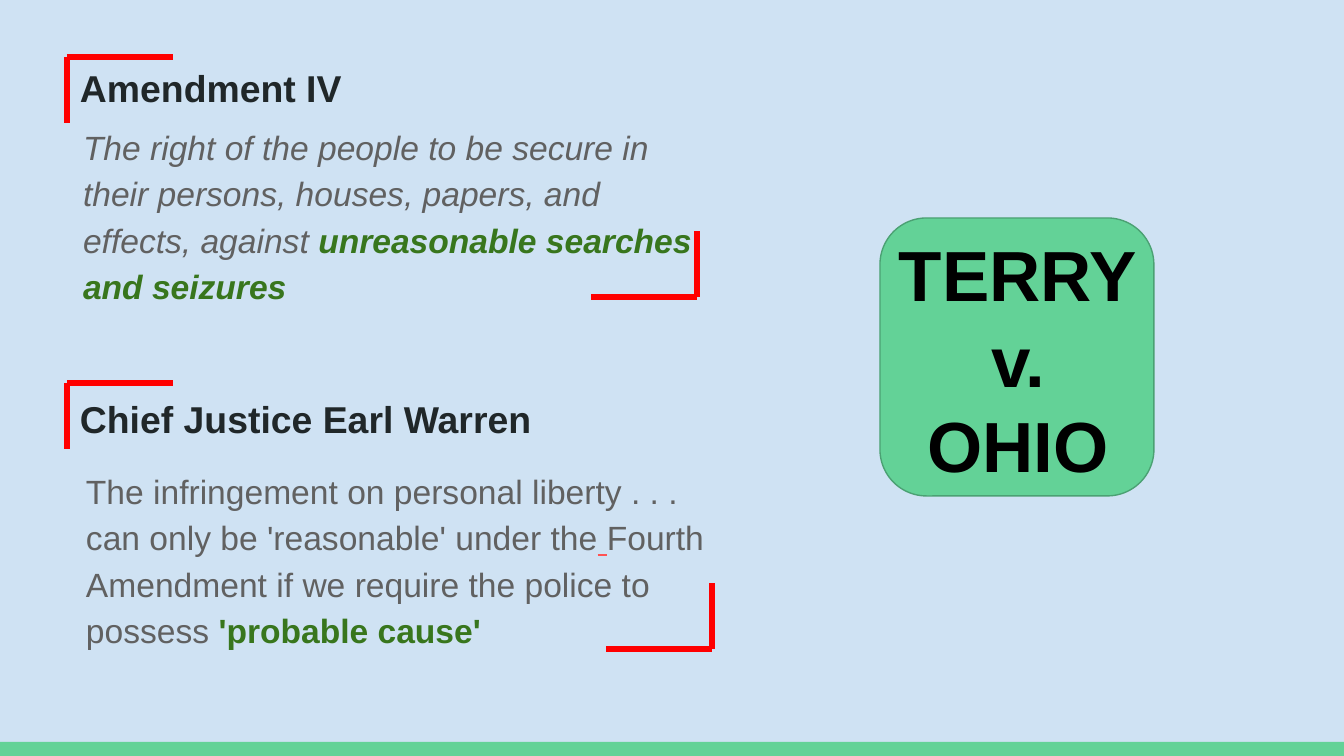
from lxml.etree import SubElement
from pptx import Presentation
from pptx.dml.color import RGBColor
from pptx.enum.shapes import MSO_CONNECTOR as Connector, MSO_SHAPE as Shape
from pptx.enum.text import MSO_ANCHOR as Anchor, PP_ALIGN as Align
from pptx.oxml.ns import qn
from pptx.util import Pt

SCALE = 914400 / 134.4  # EMU per px
WIDTH, HEIGHT = 1344, 756
INSET = 13
ARM_ACROSS, ARM_DOWN = 106, 66

SKY = RGBColor(0xCF, 0xE2, 0xF3)
MINT = RGBColor(0x63, 0xD2, 0x97)
MINT_EDGE = RGBColor(0x4B, 0xA1, 0x73)
RED = RGBColor(0xFF, 0x00, 0x00)
CORAL = RGBColor(0xFF, 0x52, 0x52)
INK = RGBColor(0x20, 0x27, 0x29)
GRAY = RGBColor(0x61, 0x61, 0x61)
GREEN = RGBColor(0x38, 0x76, 0x1D)
BLACK = RGBColor(0x00, 0x00, 0x00)


def px(length):
    return round(length * SCALE)


def add_span(para, text, size=18, color=GRAY, bold=False, italic=False, underline=False):
    span = para.add_run()
    span.text = text
    font = span.font
    font.name, font.size, font.color.rgb = "Arial", Pt(size), color
    font.bold, font.italic, font.underline = bold, italic, underline


def add_text(page, box, paragraphs, align=Align.LEFT, spacing=None, after=None):
    """Each paragraph is a list of (text, format) pairs."""
    frame = page.shapes.add_textbox(*map(px, box)).text_frame
    frame.word_wrap = True
    frame.vertical_anchor = Anchor.TOP
    frame.margin_left = frame.margin_right = px(INSET)
    frame.margin_top = frame.margin_bottom = px(INSET)
    for index, spans in enumerate(paragraphs):
        para = frame.paragraphs[0] if index == 0 else frame.add_paragraph()
        para.alignment = align
        para.line_spacing = spacing
        para.space_after = after
        for text, style in spans:
            add_span(para, text, **style)


def add_block(page, kind, box, fill, edge=None):
    block = page.shapes.add_shape(kind, *map(px, box))
    block.shadow.inherit = False
    block.fill.solid()
    block.fill.fore_color.rgb = fill
    if edge is None:
        block.line.fill.background()
    else:
        block.line.color.rgb = edge
        block.line.width = Pt(0.75)
    return block


def add_corner(page, x, y, direction):
    """Bracket at (x, y); direction 1 opens down and right, -1 up and left."""
    for across, down in ((0, ARM_DOWN), (ARM_ACROSS, 0)):
        end = x + direction * across, y + direction * down
        arm = page.shapes.add_connector(Connector.STRAIGHT, *map(px, (x, y, *end)))
        arm.line.color.rgb = RED
        arm.line.width = Pt(3)
        SubElement(arm._element.spPr, qn("a:effectLst"))


def add_quote(page, box, heading, heading_top, spans, body_box):
    """Heading and quotation framed by two opposite corners of the box."""
    left, top, width, height = box
    body_left, body_top, body_width, body_height = body_box
    add_text(page, (left, top + heading_top, 485, 85),
             [[(heading, dict(size=20, color=INK, bold=True))]])
    add_text(page, (left + body_left, top + body_top, body_width, body_height),
             [spans], spacing=1.15, after=Pt(16))
    add_corner(page, left, top, 1)
    add_corner(page, left + width, top + height, -1)


def add_case_name(page, box):
    left, top, width, height = box
    badge = add_block(page, Shape.ROUNDED_RECTANGLE, box, MINT, MINT_EDGE)
    badge.adjustments[0] = 0.17
    style = dict(size=38, color=BLACK, bold=True)
    add_text(page, (left - 64, top, 404, height),
             [[(line, style)] for line in ("TERRY", "v.", "OHIO")], align=Align.CENTER)


def main():
    deck = Presentation()
    deck.slide_width, deck.slide_height = px(WIDTH), px(HEIGHT)
    page = deck.slides.add_slide(deck.slide_layouts[6])
    page.background.fill.solid()
    page.background.fill.fore_color.rgb = SKY

    # Bottom band
    add_block(page, Shape.RECTANGLE, (0, 742, WIDTH, 14), MINT)

    # Case name
    add_case_name(page, (880, 218, 274, 278))

    # Quotations
    add_quote(page, (67, 57, 630, 240), "Amendment IV", -5, [
        ("The right of the people to be secure in their persons, houses, papers, "
         "and effects, against ", dict(italic=True)),
        ("unreasonable searches and seizures", dict(color=GREEN, bold=True, italic=True)),
    ], (3, 51, 642, 210))
    add_quote(page, (67, 383, 645, 266), "Chief Justice Earl Warren", 0, [
        ("The infringement on personal liberty . . . can only be 'reasonable' under the", {}),
        (" ", dict(color=CORAL, underline=True)),
        ("Fourth Amendment if we require the police to possess ", {}),
        ("'probable cause'", dict(color=GREEN, bold=True)),
    ], (6, 69, 645, 334))

    deck.save("out.pptx")


if __name__ == "__main__":
    main()
